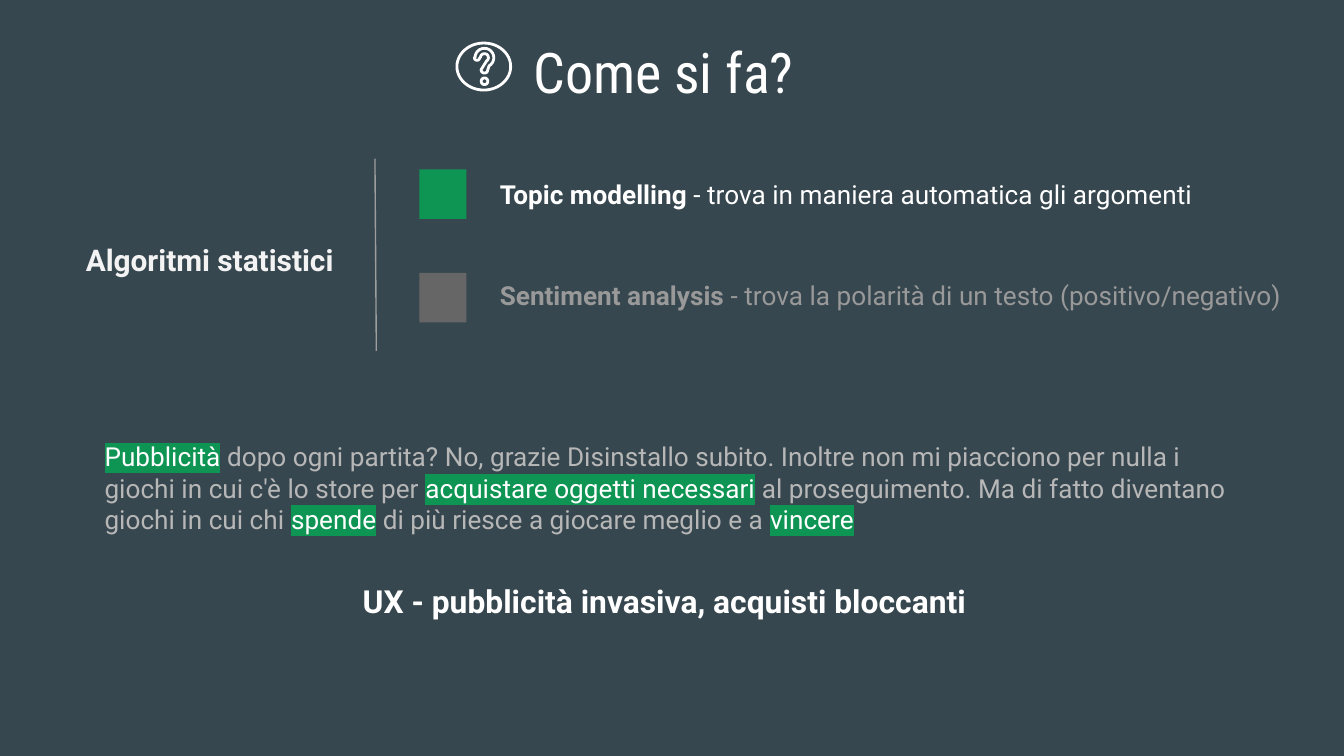
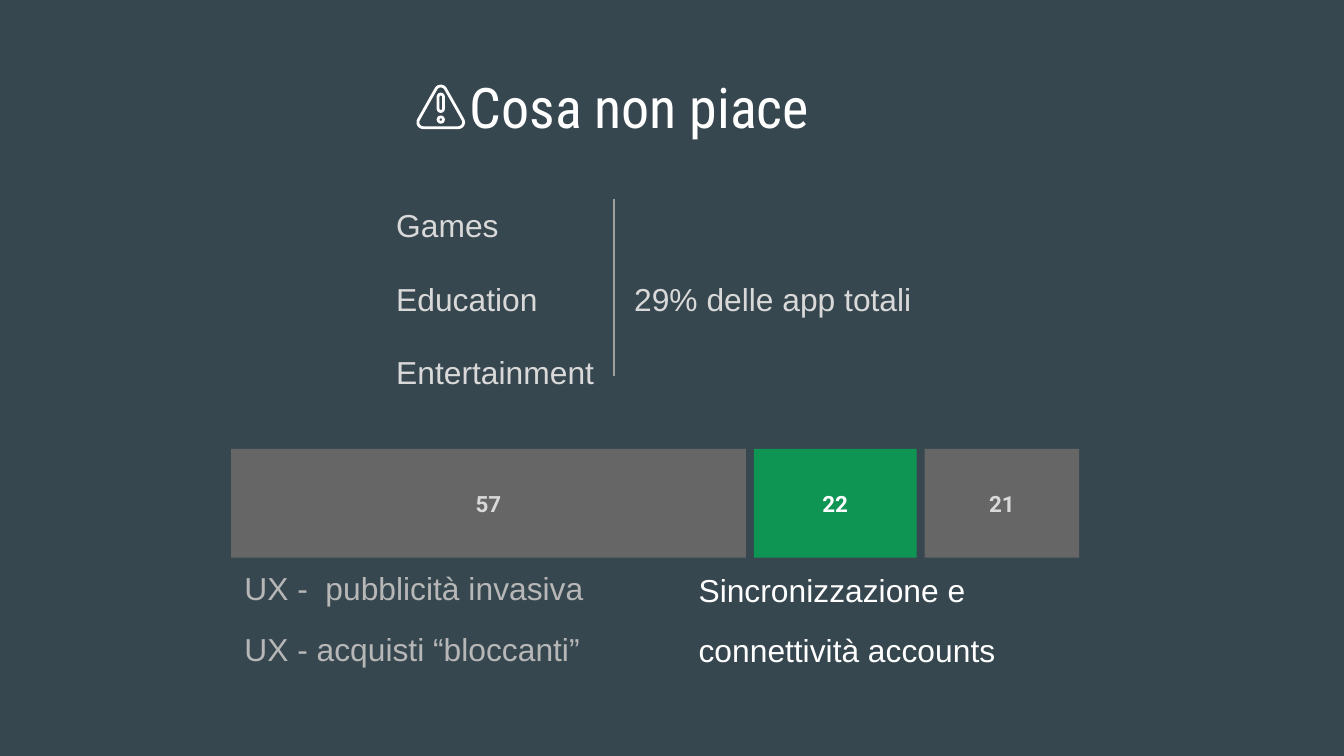
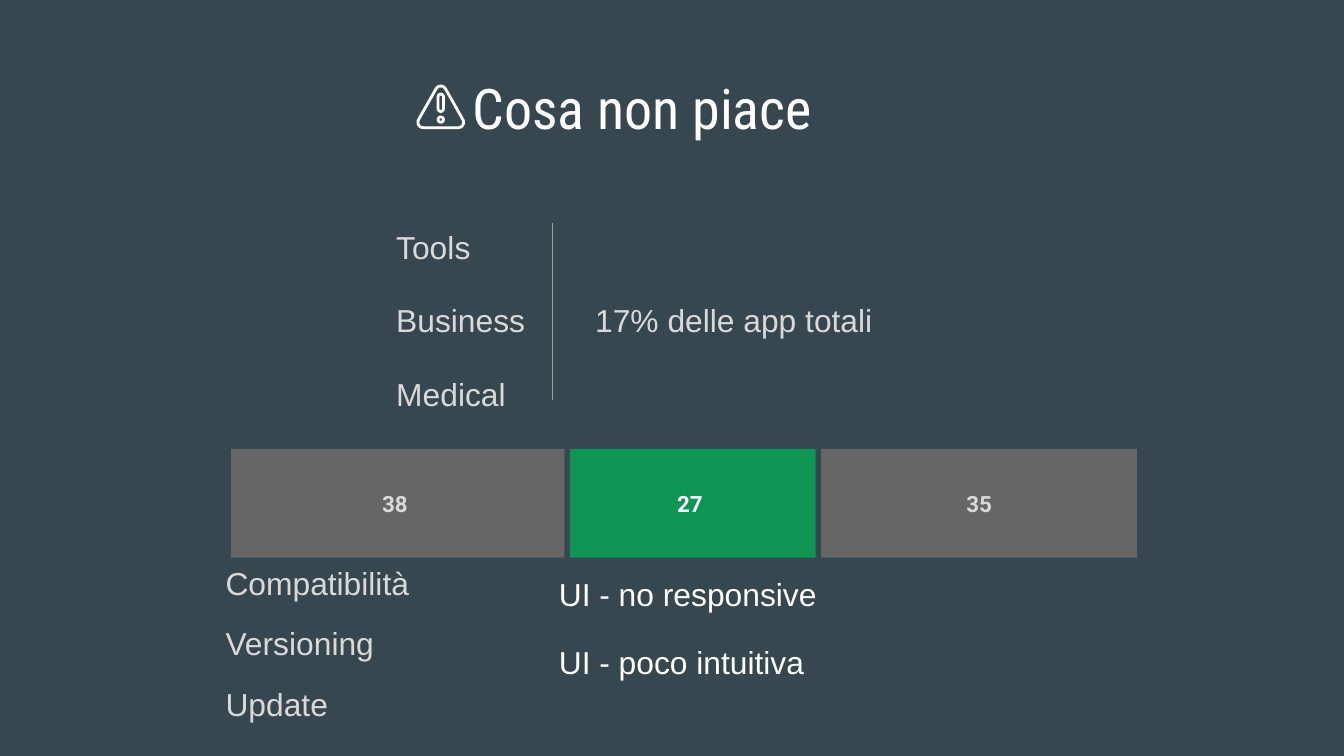
"""Build three dark slides on review analysis: the method, then two sets of complaints."""
from dataclasses import dataclass
from math import cos, radians, sin

from lxml.etree import SubElement
from pptx import Presentation
from pptx.dml.color import RGBColor as Rgb
from pptx.enum.shapes import MSO_CONNECTOR as Connector, MSO_SHAPE as Shape
from pptx.enum.text import MSO_ANCHOR as Anchor, PP_ALIGN as Align
from pptx.oxml.ns import qn
from pptx.util import Inches, Pt


@dataclass(frozen=True)
class Theme:
    back: str = "37474F"
    white: str = "FFFFFF"
    bright: str = "F3F3F3"
    light: str = "D9D9D9"
    soft: str = "B7B7B7"
    muted: str = "999999"
    rule: str = "9E9E9E"
    grey: str = "666666"
    green: str = "0E9453"
    title_font: str = "Roboto Condensed"
    label_font: str = "Roboto"
    body_font: str = "Arial"
    title: int = 30
    lead: int = 17
    heading: int = 16
    text: int = 14
    value: int = 12


theme = Theme()


def style(shape, fill=None, line=None):
    shape.shadow.inherit = False
    if fill:
        shape.fill.solid()
        shape.fill.fore_color.rgb = Rgb.from_string(fill)
    else:
        shape.fill.background()
    if line:
        shape.line.color.rgb = Rgb.from_string(line)
        shape.line.width = Pt(1.5)
    else:
        shape.line.fill.background()
    return shape


def write(box, paras, size, color, font=theme.label_font, bold=False,
          align=Align.LEFT, spacing=None, gap=0, tab=None):
    frame = box.text_frame
    frame.word_wrap = True
    frame.margin_left = frame.margin_right = Inches(0.1)
    frame.margin_top = frame.margin_bottom = Inches(0.1)
    for index, spans in enumerate(paras):
        para = frame.add_paragraph() if index else frame.paragraphs[0]
        para.alignment = align
        para.line_spacing = spacing
        para.space_before = Pt(gap if index else 0)
        if tab:
            stops = SubElement(para._p.get_or_add_pPr(), qn("a:tabLst"))
            SubElement(stops, qn("a:tab"), pos=str(Inches(tab)), algn="l")
        for words, changes in spans:
            span = para.add_run()
            span.text = words
            span.font.name = font
            span.font.size = Pt(size)
            span.font.bold = changes.get("bold", bold)
            span.font.color.rgb = Rgb.from_string(changes.get("color", color))
            if "mark" in changes:
                props = span.font._element
                mark = SubElement(props, qn("a:highlight"))
                SubElement(mark, qn("a:srgbClr"), val=changes["mark"])
                props.find(qn("a:solidFill")).addnext(mark)


deck = Presentation()
deck.slide_width = Inches(10)
deck.slide_height = deck.slide_width * 9 // 16

openings = [
    ("Come si fa?", (3.87, 0.18, 2.62, 0.63), Align.LEFT, (2.79, 1.18, 2.8, 2.61)),
    ("Cosa non piace", (0.91, 0.44, 7.7, 1), Align.CENTER, (4.57, 1.48, 4.57, 2.8)),
    ("Cosa non piace", (0.93, 0.45, 7.7, 1), Align.CENTER, (4.11, 1.66, 4.11, 2.98)),
]
pages = []
for title, area, align, ends in openings:
    page = deck.slides.add_slide(deck.slide_layouts[6])
    page.background.fill.solid()
    page.background.fill.fore_color.rgb = Rgb.from_string(theme.back)
    box = page.shapes.add_textbox(*map(Inches, area))
    write(box, [[(title, {})]], theme.title, theme.white, theme.title_font, align=align)
    divider = page.shapes.add_connector(Connector.STRAIGHT, *map(Inches, ends))
    divider.line.color.rgb = Rgb.from_string(theme.rule)
    divider.line.width = Pt(0.75)
    SubElement(divider._element.spPr, qn("a:effectLst"))
    pages.append(page)

method, *complaints = pages

for top, color in [(1.26, theme.green), (2.03, theme.grey)]:
    square = method.shapes.add_shape(
        Shape.RECTANGLE, Inches(3.12), Inches(top), Inches(0.35), Inches(0.37))
    style(square, color)

plain = {"bold": False}
marked = {"color": theme.white, "mark": theme.green}
review = [
    ("Pubblicità", marked),
    (" dopo ogni partita? No, grazie Disinstallo subito. Inoltre non mi piacciono "
     "per nulla i giochi in cui c'è lo store per ", {}),
    ("acquistare oggetti necessari", marked),
    (" al proseguimento. Ma di fatto diventano giochi in cui chi ", {}),
    ("spende", marked),
    (" di più riesce a giocare meglio e a ", {}),
    ("vincere", marked),
]
method_texts = [
    ((0.54, 1.7, 2.43, 0.63), [("Algoritmi statistici", {})],
     theme.heading, theme.bright, True),
    ((3.62, 1.23, 5.38, 0.57),
     [("Topic modelling", {}), (" - trova in maniera automatica gli argomenti", plain)],
     theme.text, theme.white, True),
    ((3.62, 1.98, 6.38, 0.63),
     [("Sentiment analysis", {}),
      (" - trova la polarità di un testo (positivo/negativo)", plain)],
     theme.text, theme.muted, True),
    ((0.68, 3.18, 8.56, 1.31), review, theme.text, theme.soft, False),
    ((2.6, 4.23, 4.8, 0.57), [("UX - pubblicità invasiva, acquisti bloccanti", {})],
     theme.lead, theme.white, True),
]
for area, spans, size, color, bold in method_texts:
    box = method.shapes.add_textbox(*map(Inches, area))
    write(box, [spans], size, color, bold=bold)

question_arcs = [
    (3.605, 0.43, 0.07, range(180, 421, 15)),
    (3.605, 0.52, 0.025, range(0, 181, 30)),
    (3.605, 0.43, 0.03, range(60, -181, -20)),
    (3.55, 0.43, 0.02, range(0, 181, 30)),
]
triangle_arcs = [
    (3.15, 0.91, 0.04, range(90, 211, 15)),
    (3.28, 0.68, 0.04, range(210, 331, 15)),
    (3.41, 0.91, 0.04, range(-30, 91, 15)),
]
question_parts = [
    (Shape.OVAL, (3.4, 0.32, 0.4, 0.35)),
    (Shape.OVAL, (3.58, 0.58, 0.05, 0.05)),
]
warning_parts = [
    (Shape.ROUNDED_RECTANGLE, (3.26, 0.7, 0.04, 0.13)),
    (Shape.OVAL, (3.26, 0.87, 0.04, 0.04)),
]
icons = [(method, question_arcs, question_parts)]
icons += [(page, triangle_arcs, warning_parts) for page in complaints]
for page, arcs, parts in icons:
    points = [(Inches(x + r * cos(radians(a))), Inches(y + r * sin(radians(a))))
              for x, y, r, angles in arcs for a in angles]
    outline = page.shapes.build_freeform(*points[0])
    outline.add_line_segments(points[1:], close=True)
    style(outline.convert_to_shape(), line=theme.white)
    for kind, area in parts:
        part = style(page.shapes.add_shape(kind, *map(Inches, area)), line=theme.white)
        if kind == Shape.ROUNDED_RECTANGLE:
            part.adjustments[0] = 0.5

contents = [
    {
        "top": 1.39, "tab": 1.77,
        "groups": ["Games", "Education\t29% delle app totali", "Entertainment"],
        "bars": [("57", 3.83), ("22", 1.21), ("21", 1.15)], "bar_gap": 0.06,
        "issues": [
            (1.72, 4.19, theme.soft, 16,
             ["UX -  pubblicità invasiva", "UX - acquisti “bloccanti”"]),
            (5.1, 4.2, theme.white, 16, ["Sincronizzazione e", "connettività accounts"]),
        ],
    },
    {
        "top": 1.55, "tab": 1.48,
        "groups": ["Tools", "Business\t17% delle app totali", "Medical"],
        "bars": [("38 ", 2.48), ("27 ", 1.83), ("35", 2.35)], "bar_gap": 0.04,
        "issues": [
            (1.58, 4.15, theme.light, 16, ["Compatibilità", "Versioning", "Update"]),
            (4.06, 4.23, theme.white, 20, ["UI - no responsive", "UI - poco intuitiva"]),
        ],
    },
]
bar_colors = [(theme.grey, theme.light), (theme.green, theme.white), (theme.grey, theme.light)]
for page, content in zip(complaints, contents):
    box = page.shapes.add_textbox(
        Inches(2.85), Inches(content["top"]), Inches(4.3), Inches(1.6))
    write(box, [[(words, {})] for words in content["groups"]], theme.lead, theme.light,
          theme.body_font, spacing=1.15, gap=16, tab=content["tab"])

    left = 1.72
    for (value, width), (fill, color) in zip(content["bars"], bar_colors):
        bar = page.shapes.add_shape(
            Shape.RECTANGLE, Inches(left), Inches(3.34), Inches(width), Inches(0.81))
        style(bar, fill)
        bar.text_frame.vertical_anchor = Anchor.MIDDLE
        write(bar, [[(value, {})]], theme.value, color, bold=True, align=Align.CENTER)
        left += width + content["bar_gap"]

    for left, top, color, gap, lines in content["issues"]:
        box = page.shapes.add_textbox(Inches(left), Inches(top), Inches(3.83), Inches(1))
        write(box, [[(words, {})] for words in lines], theme.lead, color,
              theme.body_font, spacing=0.8, gap=gap)

deck.save("out.pptx")
